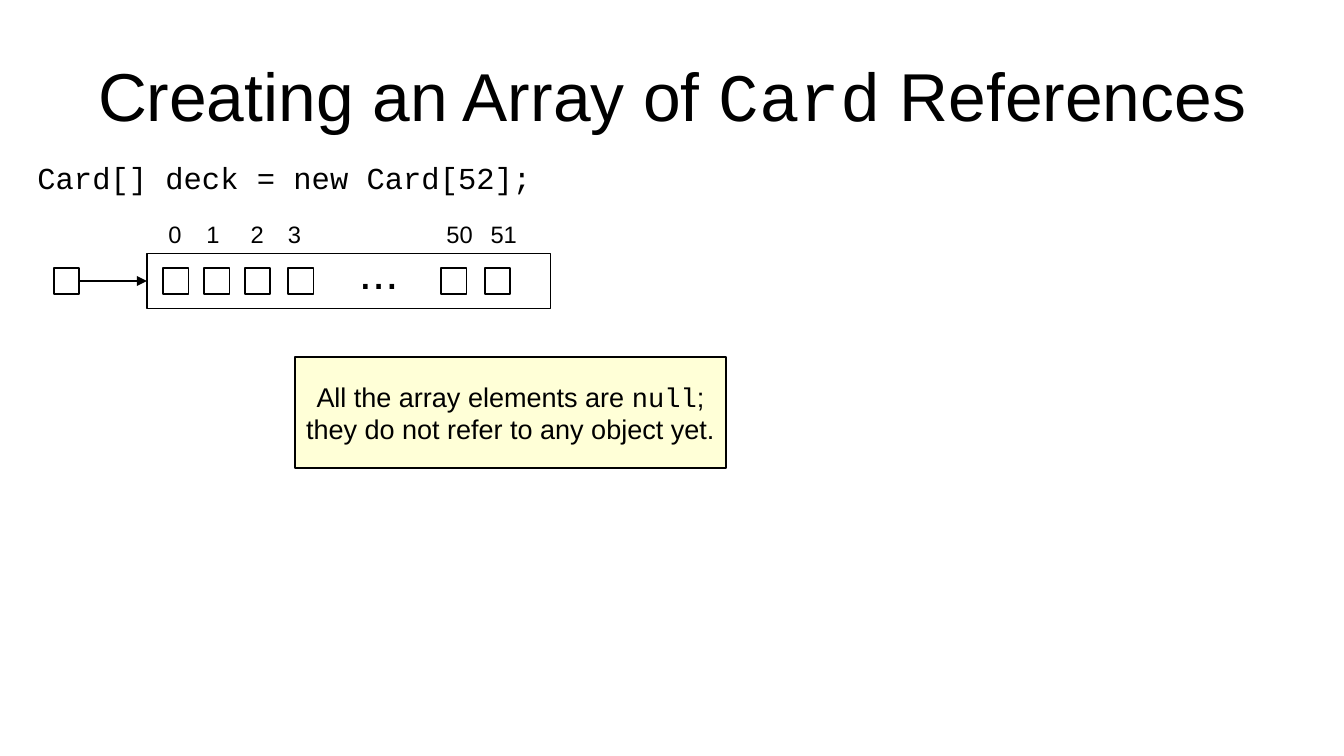
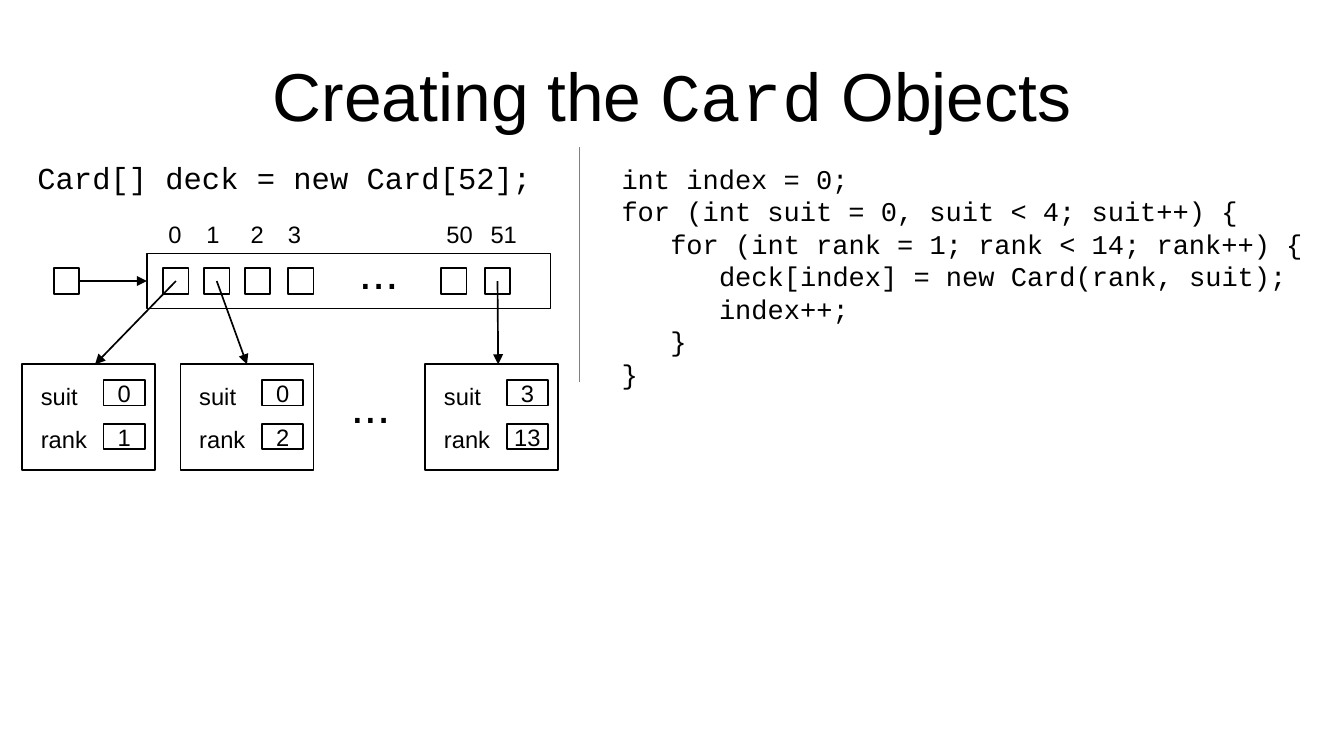
import lxml.etree
import pptx
import pptx.dml.color
import pptx.enum.shapes
import pptx.enum.text
import pptx.oxml.ns
import pptx.util

Cm = pptx.util.Cm
Pt = pptx.util.Pt
qn = pptx.oxml.ns.qn
ALIGN = pptx.enum.text.PP_ALIGN
ANCHOR = pptx.enum.text.MSO_ANCHOR

COLORS = {"ink": "000000", "paper": "FFFFFF", "note": "FFFFD7", "divider": "808080"}
SANS, MONO = "Arial", "Courier New"
DECLARATION = "Card[] deck = new Card[52];"
SLOT = 0.53
SLOT_LEFTS = (0.34, 1.19, 2.04, 2.94, 6.13, 7.04)
INDEXES = (("0", 0.2), ("1", 0.99), ("2", 1.91), ("3", 2.69), ("50", 5.99), ("51", 6.91))
ARRAY_BOX = (3.06, 5.28, 8.41, 1.15)
CARD_TOP, CARD_WIDTH, CARD_HEIGHT = 7.59, 2.77, 2.21
CODE_INDENT = 28.8
LOOP_CODE = (
    (0, "int index = 0;"),
    (0, "for (int suit = 0, suit < 4; suit++) {"),
    (1, "for (int rank = 1; rank < 14; rank++) {"),
    (2, "deck[index] = new Card(rank, suit);"),
    (2, "index++;"),
    (1, "}"),
    (0, "}"),
)


def rgb(name):
    return pptx.dml.color.RGBColor.from_string(COLORS[name])


def set_insets(frame, left, top, right, bottom):
    frame.margin_left, frame.margin_top = Cm(left), Cm(top)
    frame.margin_right, frame.margin_bottom = Cm(right), Cm(bottom)


def write(frame, lines, size, align=ALIGN.LEFT):
    for number, spans in enumerate(lines):
        para = frame.paragraphs[0] if number == 0 else frame.add_paragraph()
        para.alignment = align
        for text, font in spans:
            span = para.add_run()
            span.text = text
            span.font.name = font
            span.font.size = Pt(size)
            span.font.color.rgb = rgb("ink")


def add_text(page, left, top, width, height, lines, size):
    box = page.shapes.add_textbox(Cm(left), Cm(top), Cm(width), Cm(height))
    frame = box.text_frame
    frame.word_wrap = True
    set_insets(frame, 0.25, 0.13, 0, 0.13)
    write(frame, lines, size)
    return box


def add_rect(page, left, top, width, height, fill="paper", lines=(), size=14):
    rect = page.shapes.add_shape(
        pptx.enum.shapes.MSO_SHAPE.RECTANGLE, Cm(left), Cm(top), Cm(width), Cm(height)
    )
    rect.shadow.inherit = False
    rect.fill.solid()
    rect.fill.fore_color.rgb = rgb(fill)
    rect.line.color.rgb = rgb("ink")
    rect.line.width = Pt(1)
    if lines:
        frame = rect.text_frame
        frame.word_wrap = False
        frame.vertical_anchor = ANCHOR.MIDDLE
        set_insets(frame, 0.28, 0.15, 0.28, 0.15)
        write(frame, lines, size, ALIGN.CENTER)
    return rect


def add_line(page, start, end, color="ink", arrow=True):
    line = page.shapes.add_connector(
        pptx.enum.shapes.MSO_CONNECTOR.STRAIGHT, *(Cm(value) for value in (*start, *end))
    )
    line.line.color.rgb = rgb(color)
    line.line.width = Pt(1)
    properties = line._element.spPr
    if arrow:
        outline = line.line._get_or_add_ln()
        lxml.etree.SubElement(outline, qn("a:tailEnd"), type="triangle")
    lxml.etree.SubElement(properties, qn("a:effectLst"))
    return line


def add_title(page, left, top, width, height, before, after):
    spans = [(before, SANS), ("Card", MONO), (after, SANS)]
    box = add_text(page, left, top, width, height, [spans], 40)
    frame = box.text_frame
    set_insets(frame, 0, 0, 0, 0)
    frame.vertical_anchor = ANCHOR.MIDDLE
    frame.paragraphs[0].alignment = ALIGN.CENTER


def add_ellipsis(page, left, top):
    add_text(page, left, top, 1.32, 1.35, [[("...", SANS)]], 28)


def add_array(page, left, top, width, height):
    array = add_rect(page, left, top, width, height)
    slot_top = top + (height - SLOT) / 2
    reference = add_rect(page, left - 1.94, slot_top, SLOT, SLOT)
    for offset in SLOT_LEFTS:
        add_rect(page, left + offset, slot_top, SLOT, SLOT)
    for index, offset in INDEXES:
        label_width = 0.54 + 0.25 * len(index)
        add_text(page, left + offset, top - 0.84, label_width, 0.81, [[(index, SANS)]], 14)
    add_ellipsis(page, left + 4.17, top - 0.36)
    arrow = add_line(page, (left - 1, top), (left, top))
    arrow.begin_connect(reference, 3)
    arrow.end_connect(array, 1)
    return [(left + offset + SLOT / 2, top + height / 2) for offset in SLOT_LEFTS]


def add_card(page, left, top, width, height, suit, rank):
    card = add_rect(page, left, top, width, height)
    for row, (name, value) in enumerate((("suit", suit), ("rank", rank))):
        row_top = top + 0.33 + 0.91 * row
        add_rect(page, left + 1.7, row_top, 0.86, SLOT, lines=[[(value, SANS)]])
        add_text(page, left + 0.14, row_top - 0.1, 1.47, 0.81, [[(name, SANS)]], 14)
    return card


def add_loop_code(page, left, top, width, height):
    lines = [[(text, MONO)] for level, text in LOOP_CODE]
    box = add_text(page, left, top, width, height, lines, 16)
    for para, (level, text) in zip(box.text_frame.paragraphs, LOOP_CODE):
        if level:
            properties = para._p.get_or_add_pPr()
            properties.set("marL", str(int(Pt(CODE_INDENT * level))))
            properties.set("indent", "0")


def start_page(deck, before, after):
    page = deck.slides.add_slide(deck.slide_layouts[6])
    add_title(page, 1.4, 0.64, 25.2, 2.64, before, after)
    add_text(page, 0.53, 3.18, 10.8, 0.97, [[(DECLARATION, MONO)]], 18)
    return page, add_array(page, *ARRAY_BOX)


def build_references_page(deck):
    page, slots = start_page(deck, "Creating an Array of ", " References")
    note = [
        [("All the array elements are ", SANS), ("null", MONO), (";", SANS)],
        [("they do not refer to any object yet.", SANS)],
    ]
    add_rect(page, 6.15, 7.44, 8.97, 2.31, "note", note, 16)


def build_objects_page(deck):
    page, slots = start_page(deck, "Creating the ", " Objects")
    add_loop_code(page, 12.7, 3.25, 14.73, 4.72)
    add_line(page, (12.07, 3.07), (12.07, 7.95), "divider", arrow=False)
    middle = CARD_WIDTH / 2
    cards = (
        (0.46, "0", "1", slots[0], 1.52),
        (3.76, "0", "2", slots[1], middle),
        (8.86, "3", "13", slots[-1], 1.52),
    )
    for left, suit, rank, slot, landing in cards:
        card = add_card(page, left, CARD_TOP, CARD_WIDTH, CARD_HEIGHT, suit, rank)
        arrow = add_line(page, slot, (left + landing, CARD_TOP))
        if landing == middle:
            arrow.end_connect(card, 0)
    add_ellipsis(page, 7.06, 7.7)


def main():
    deck = pptx.Presentation()
    deck.slide_width, deck.slide_height = Cm(28), Cm(15.75)
    build_references_page(deck)
    build_objects_page(deck)
    deck.save("out.pptx")


if __name__ == "__main__":
    main()
